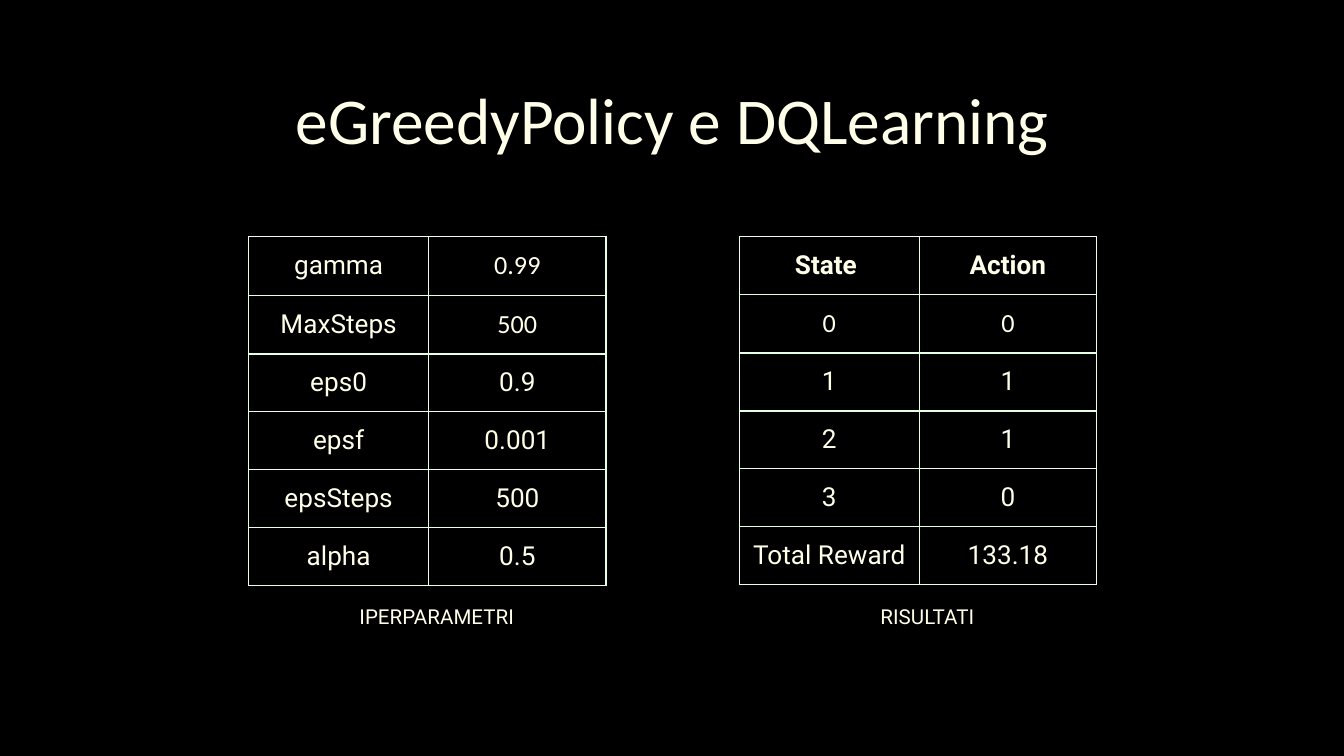
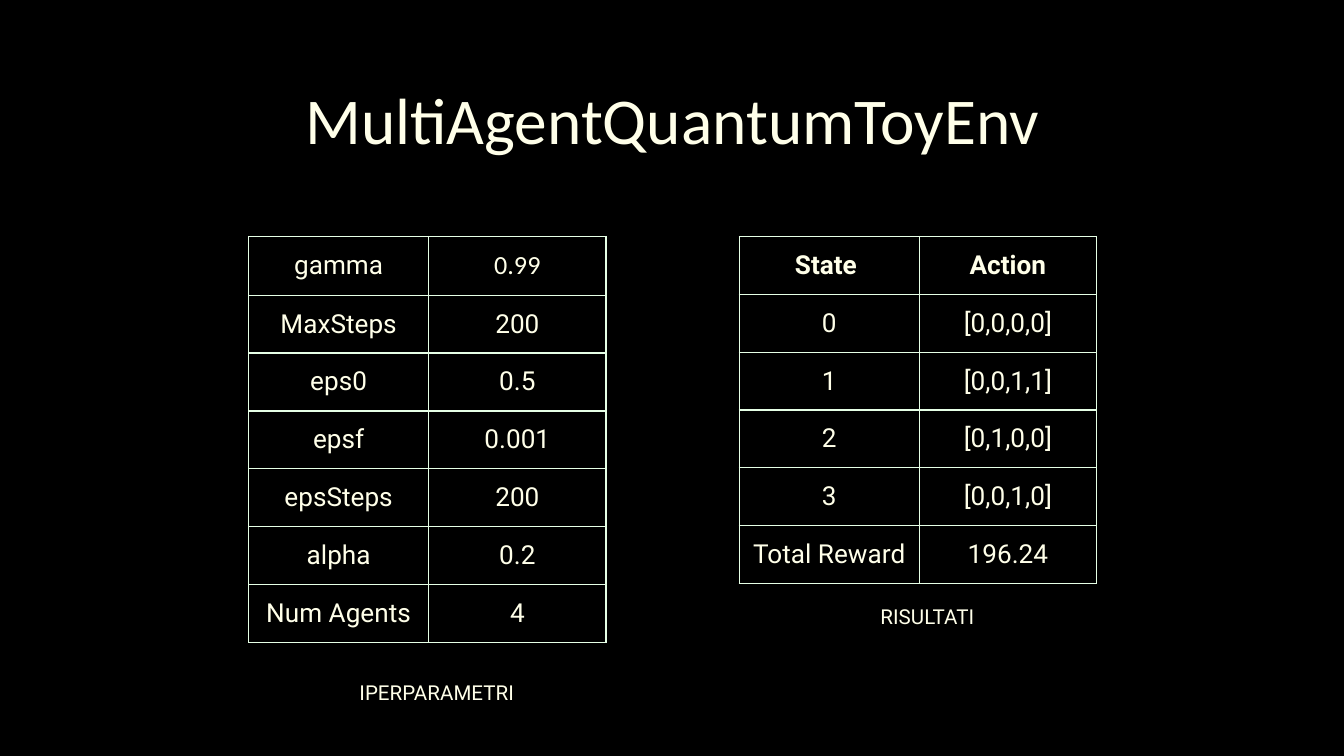
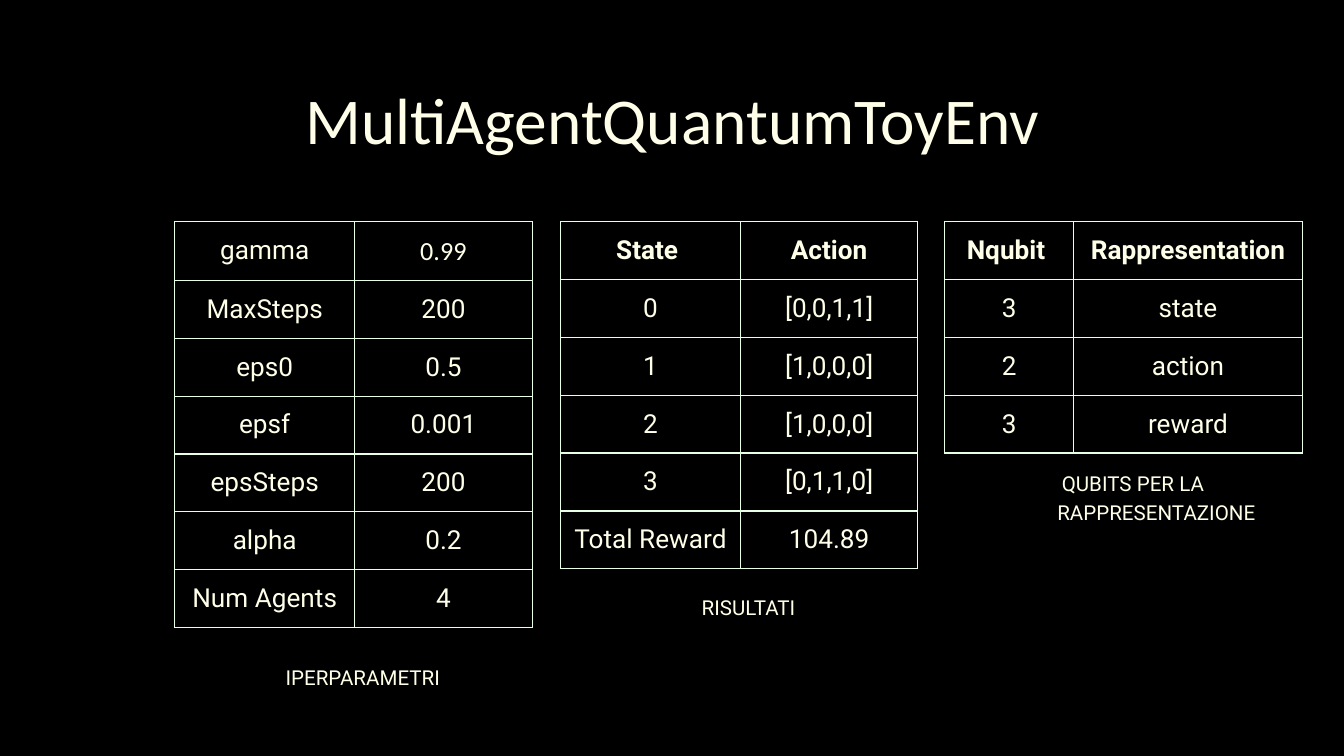
from lxml.etree import SubElement
from pptx import Presentation
from pptx.dml.color import RGBColor
from pptx.enum.text import MSO_ANCHOR, MSO_AUTO_SIZE, PP_ALIGN
from pptx.oxml.ns import qn
from pptx.util import Inches, Pt

BLACK = RGBColor(0x00, 0x00, 0x00)
CREAM = RGBColor(0xFF, 0xFF, 0xE9)
MINT = RGBColor(0xE6, 0xFF, 0xE6)

TITLE_FONT = {"name": "Calibri", "size": Pt(35), "bold": False}
CAPTION_FONT = {"name": "Roboto", "size": Pt(11), "bold": False}
CELL_FONT = {"name": "Roboto", "size": Pt(14), "bold": False}
FRAME_FORMAT = {
    "word_wrap": True,
    "auto_size": MSO_AUTO_SIZE.NONE,
    "vertical_anchor": MSO_ANCHOR.TOP,
}
MARGINS = ("margin_left", "margin_top", "margin_right", "margin_bottom")
ROW_HEIGHT = 0.43
EVEN_COLUMNS = (1.34, 1.32)
QUBIT_COLUMNS = (0.96, 1.7)

PARAMETERS = ("gamma", "MaxSteps", "eps0", "epsf", "epsSteps", "alpha", "Num Agents")
STATES = ("State ", "0", "1", "2", "3", "Total Reward")
GREEDY_VALUES = ("0.99", "500", "0.9", "0.001", "500", "0.5")
AGENT_VALUES = ("0.99", "200", "0.5", "0.001", "200", "0.2", "4")
GREEDY_ACTIONS = ("Action", "0", "1", "1", "0", "133.18")
AGENT_ACTIONS = ("Action", "[0,0,0,0]", "[0,0,1,1]", "[0,1,0,0]", "[0,0,1,0]", "196.24")
QUBIT_ACTIONS = ("Action", "[0,0,1,1]", "[1,0,0,0]", "[1,0,0,0]", "[0,1,1,0]", "104.89")
QUBITS = ("Nqubit ", "3", "2", "3")
MEANINGS = ("Rappresentation", "state", "action", "reward")

SLIDES = [
    ("eGreedyPolicy e DQLearning", 1.76, [
        (1.85, EVEN_COLUMNS, PARAMETERS, GREEDY_VALUES, False, {(0, 1), (1, 1)},
         "IPERPARAMETRI", 4.37, 0.63),
        (5.5, EVEN_COLUMNS, STATES, GREEDY_ACTIONS, True, {(1, 0), (1, 1)},
         "RISULTATI", 4.37, 0.63),
    ]),
    ("MultiAgentQuantumToyEnv", 1.76, [
        (1.85, EVEN_COLUMNS, PARAMETERS, AGENT_VALUES, False, {(0, 1)},
         "IPERPARAMETRI", 4.93, 0.42),
        (5.5, EVEN_COLUMNS, STATES, AGENT_ACTIONS, True, set(),
         "RISULTATI", 4.37, 0.63),
    ]),
    ("MultiAgentQuantumToyEnv", 1.65, [
        (1.3, EVEN_COLUMNS, PARAMETERS, AGENT_VALUES, False, {(0, 1)},
         "IPERPARAMETRI", 4.82, 0.42),
        (4.17, EVEN_COLUMNS, STATES, QUBIT_ACTIONS, True, set(),
         "RISULTATI", 4.3, 0.63),
        (7.03, QUBIT_COLUMNS, QUBITS, MEANINGS, True, set(),
         "QUBITS PER LA RAPPRESENTAZIONE", 3.38, 0.63),
    ]),
]


def write(holder, frame, text, font):
    for margin in MARGINS:
        setattr(holder, margin, Inches(0.1))
    para = frame.paragraphs[0]
    para.alignment = PP_ALIGN.CENTER
    span = para.add_run()
    span.text = text
    for key, value in font.items():
        setattr(span.font, key, value)
    span.font.color.rgb = CREAM
    return para


def draw_borders(cell):
    properties = cell._tc.get_or_add_tcPr()
    for side in ("a:lnL", "a:lnR", "a:lnT", "a:lnB"):
        line = SubElement(properties, qn(side), w=str(Pt(0.75)))
        fill = SubElement(line, qn("a:solidFill"))
        SubElement(fill, qn("a:srgbClr"), val=str(MINT))


deck = Presentation()
deck.slide_width, deck.slide_height = Inches(10), Inches(10 * 9 / 16)
background = deck.slide_master.background.fill
background.solid()
background.fore_color.rgb = BLACK

for heading, table_top, tables in SLIDES:
    page = deck.slides.add_slide(deck.slide_layouts[5])
    title = page.shapes.title
    title.left, title.top = Inches(0.79), Inches(0.49)
    title.width, title.height = Inches(8.43), Inches(0.63)
    for key, value in FRAME_FORMAT.items():
        setattr(title.text_frame, key, value)
    write(title.text_frame, title.text_frame, heading, TITLE_FONT)

    for (left, widths, labels, values, has_header, calibri_cells,
         caption, caption_top, caption_height) in tables:
        rows = list(zip(labels, values))
        table = page.shapes.add_table(
            len(rows), len(widths), Inches(left), Inches(table_top),
            Inches(sum(widths)), Inches(ROW_HEIGHT * len(rows))).table
        table.first_row = has_header
        table.horz_banding = False
        for column, width in zip(table.columns, widths):
            column.width = Inches(width)
        for row_index, row in enumerate(rows):
            for column_index, text in enumerate(row):
                cell = table.cell(row_index, column_index)
                font = dict(CELL_FONT, bold=has_header and row_index == 0)
                if (row_index, column_index) in calibri_cells:
                    font["name"] = "Calibri"
                write(cell, cell.text_frame, text, font)
                draw_borders(cell)
                cell.fill.background()

        box = page.shapes.add_textbox(
            Inches(left - 0.06), Inches(caption_top), Inches(2.77), Inches(caption_height))
        for key, value in FRAME_FORMAT.items():
            setattr(box.text_frame, key, value)
        para = write(box.text_frame, box.text_frame, caption, CAPTION_FONT)
        para.line_spacing = 1.15
        indents = para._p.get_or_add_pPr()
        indents.set("marL", str(Inches(0.5)))
        indents.set("indent", str(Inches(-0.35)))

deck.save("out.pptx")
